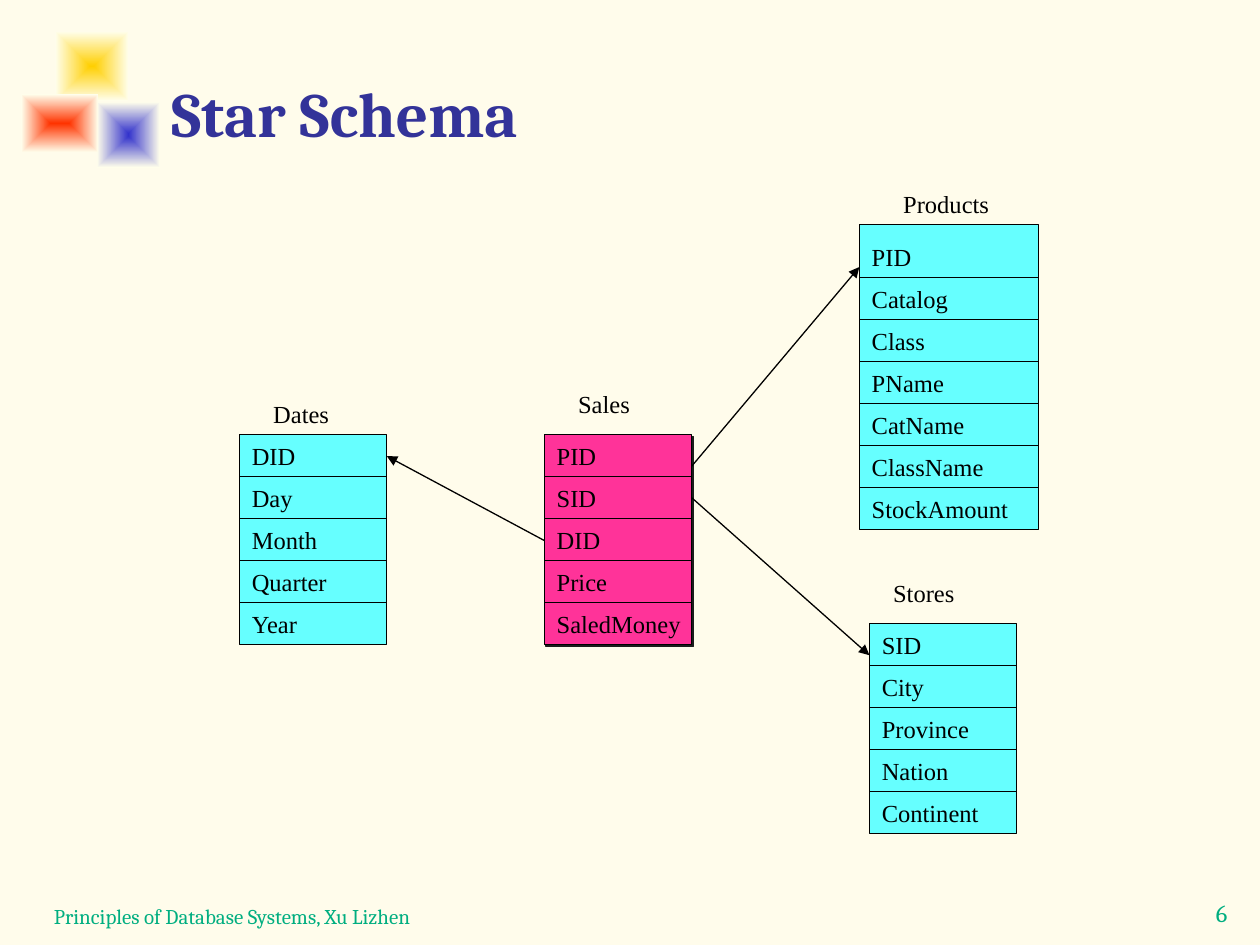
from lxml import etree
from pptx import Presentation
from pptx import util as u
from pptx.dml.color import RGBColor
from pptx.enum import shapes, text
from pptx.oxml import parse_xml
from pptx.oxml.ns import nsdecls, qn

ROW = 1 / 3
CYAN, PINK, BLACK, GREEN = "66FFFF", "FF3399", "000000", "00AE80"


def color(hex_code):
    return RGBColor.from_string(hex_code)


def inches(*lengths):
    return [u.Inches(length) for length in lengths]


class SchemaSlide:
    heading_font = "Cambria"
    label_font = "Times New Roman"
    paper = "FFFCEB"
    fade = "FFFEEB"

    def __init__(self, deck):
        self.slide = deck.slides.add_slide(deck.slide_layouts[5])
        background = self.slide.background.fill
        background.solid()
        background.fore_color.rgb = color(self.paper)

    def style(self, frame, words, font, size, hex_code, bold=False):
        frame.text = words
        for run in frame.paragraphs[0].runs:
            run.font.name = font
            run.font.size = u.Pt(size)
            run.font.bold = bold
            run.font.color.rgb = color(hex_code)

    def title(self, words, left, top, width, height):
        heading = self.slide.shapes.title
        heading.left, heading.top, heading.width, heading.height = inches(left, top, width, height)
        frame = heading.text_frame
        self.style(frame, words, self.heading_font, 36, "333399", bold=True)
        frame.word_wrap = True
        frame.auto_size = text.MSO_AUTO_SIZE.NONE
        frame.vertical_anchor = text.MSO_ANCHOR.BOTTOM
        frame.paragraphs[0].alignment = text.PP_ALIGN.LEFT

    def label(self, words, left, top, width, height=0.34, font=None, size=14, hex_code=BLACK):
        box = self.slide.shapes.add_textbox(*inches(left, top, width, height))
        frame = box.text_frame
        frame.word_wrap = True
        self.style(frame, words, font or self.label_font, size, hex_code)
        return frame

    def rectangle(self, left, top, width, height):
        box = self.slide.shapes.add_shape(
            shapes.MSO_SHAPE.RECTANGLE, *inches(left, top, width, height))
        box.shadow.inherit = False
        return box

    def glow(self, hex_code, left, top, width, height):
        """Add a square that fades from its centre into the background."""
        square = self.rectangle(left, top, width, height)
        square.line.fill.background()
        square.fill.gradient()
        for stop, position, shade in zip(square.fill.gradient_stops, (0, 1), (hex_code, self.fade)):
            stop.position = position
            stop.color.rgb = color(shade)
        linear = square._element.spPr.find(qn("a:gradFill")).find(qn("a:lin"))
        linear.getparent().replace(linear, parse_xml(
            f'<a:path {nsdecls("a")} path="rect">'
            '<a:fillToRect l="50000" t="50000" r="50000" b="50000"/></a:path>'))

    def line(self, start, end, arrow=False):
        connector = self.slide.shapes.add_connector(
            shapes.MSO_CONNECTOR.STRAIGHT, *inches(*start, *end))
        connector.line.color.rgb = color(BLACK)
        connector.line.width = u.Pt(0.75)
        if arrow:
            etree.SubElement(connector.line._get_or_add_ln(), qn("a:tailEnd"), type="triangle")
        etree.SubElement(connector._element.spPr, qn("a:effectLst"))

    def relation(self, name, caption, left, top, width, fields, fill=CYAN, extra=0, shadow=False):
        """Add a captioned box with one row per field; extra heightens the first row."""
        height = len(fields) * ROW + extra
        box = self.rectangle(left, top, width, height)
        box.fill.solid()
        box.fill.fore_color.rgb = color(fill)
        box.line.color.rgb = color(BLACK)
        box.line.width = u.Pt(0.75)
        if shadow:
            effects = box._element.spPr.find(qn("a:effectLst"))
            effects.append(parse_xml(
                f'<a:outerShdw {nsdecls("a")} dist="17780" dir="2700000">'
                '<a:srgbClr val="1C1C1C"/></a:outerShdw>'))
        for i, field in enumerate(fields):
            row_top = top + extra + i * ROW
            if i:
                self.line((left, row_top), (left + width, row_top))
            self.label(field, left, row_top, width + 0.06)
        self.label(name, *caption, 1)


def main():
    deck = Presentation()
    deck.slide_width, deck.slide_height = inches(10, 7.5)
    page = SchemaSlide(deck)

    page.glow("FFCF01", 0.44, 0.25, 0.58, 0.55)
    page.glow("3333CC", 0.77, 0.81, 0.5, 0.52)
    page.glow("FF3300", 0.17, 0.75, 0.61, 0.46)
    page.title("Star Schema", 1.26, 0.16, 8.66, 1.08)

    page.relation("Sales", (4.49, 3.04), 4.32, 3.45, 1.17,
                  ["PID", "SID", "DID", "Price", "SaledMoney"], fill=PINK, shadow=True)
    page.relation("Stores", (6.99, 4.54), 6.9, 4.95, 1.17,
                  ["SID", "City", "Province", "Nation", "Continent"])
    page.relation("Dates", (2.07, 3.12), 1.9, 3.45, 1.17,
                  ["DID", "Day", "Month", "Quarter", "Year"])
    page.relation("Products", (7.07, 1.45), 6.82, 1.78, 1.42,
                  ["PID", "Catalog", "Class", "PName", "CatName", "ClassName", "StockAmount"],
                  extra=0.09)

    page.line((5.49, 3.7), (6.82, 2.12), arrow=True)
    page.line((5.49, 3.95), (6.9, 5.2), arrow=True)
    page.line((4.32, 4.29), (3.07, 3.62), arrow=True)

    footer = page.label("Principles of Database Systems, Xu Lizhen", 0.33, 6.92, 6.5, 0.5,
                        page.heading_font, 12, GREEN)
    footer.vertical_anchor = text.MSO_ANCHOR.BOTTOM
    number = page.label("6", 9.1, 7.08, 1.19, 0.38, page.heading_font, 14, GREEN)
    number.word_wrap = False
    number.paragraphs[0].alignment = text.PP_ALIGN.CENTER

    deck.save("out.pptx")


if __name__ == "__main__":
    main()
